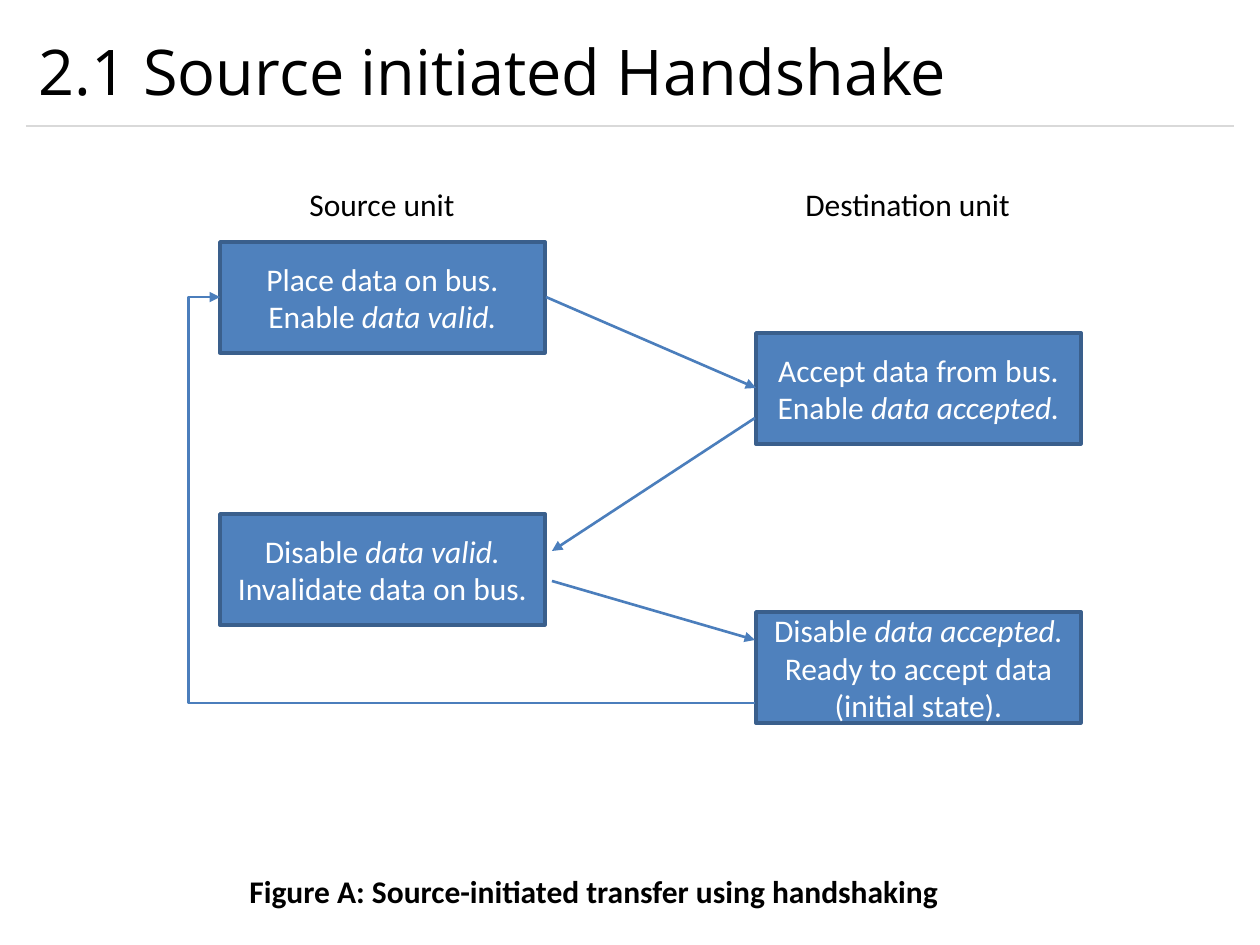
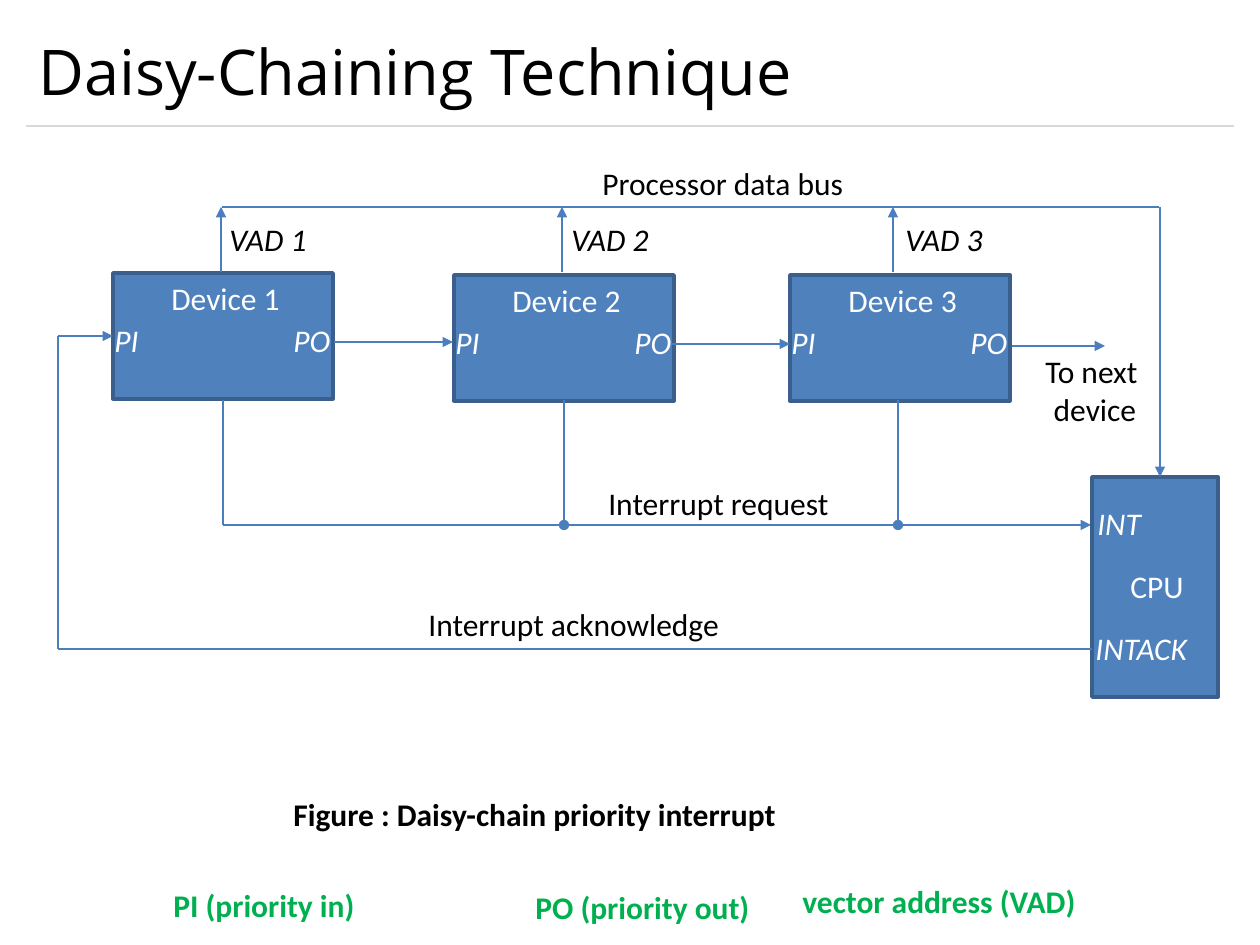
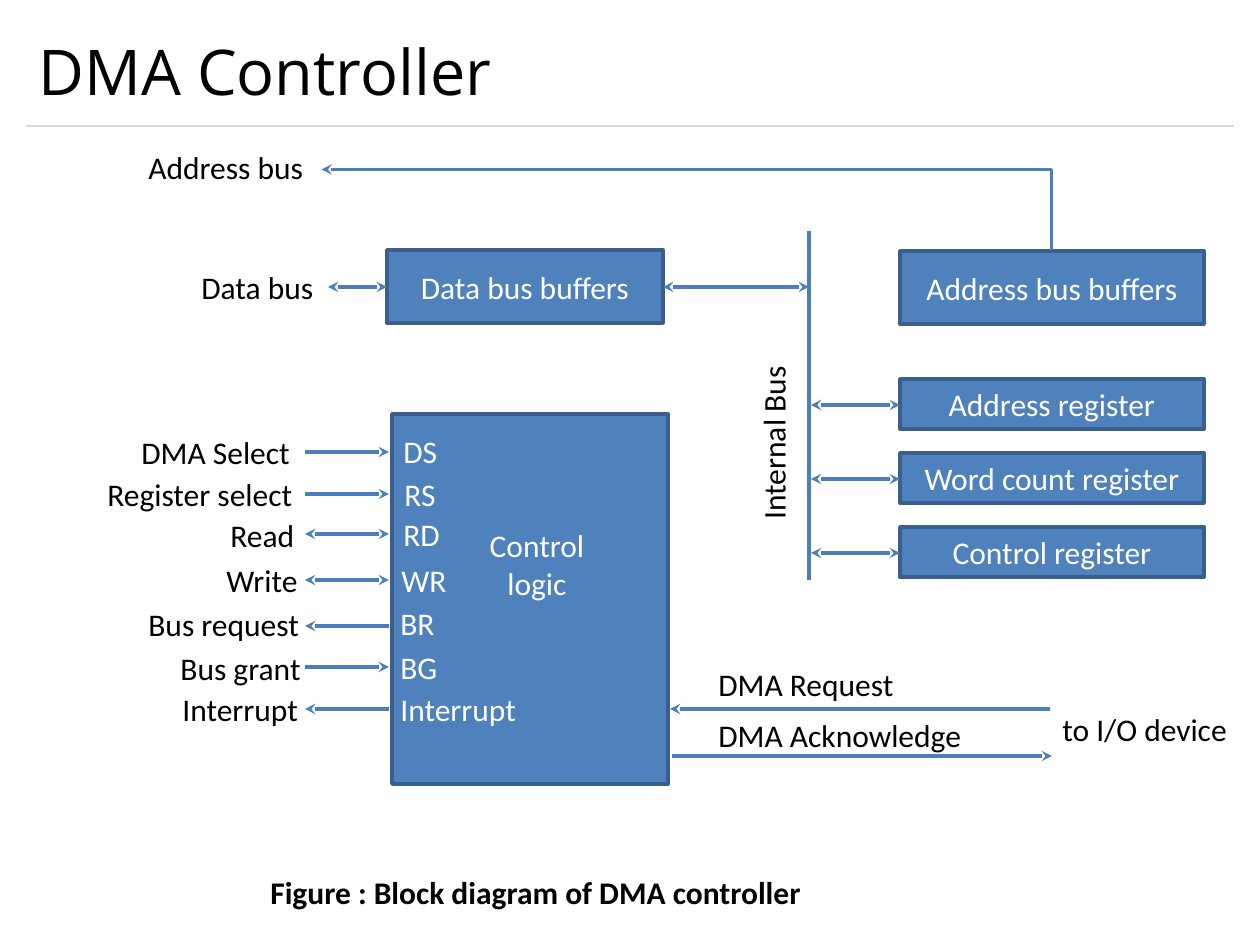
from dataclasses import dataclass
from typing import NamedTuple

from lxml.etree import SubElement
from pptx import Presentation
from pptx.dml.color import RGBColor
from pptx.enum.shapes import MSO_CONNECTOR as Link, MSO_SHAPE as Geo
from pptx.enum.text import MSO_ANCHOR as Anchor, MSO_AUTO_SIZE as Fit, PP_ALIGN as Align
from pptx.oxml.ns import qn
from pptx.util import Emu, Pt

BLACK = RGBColor(0x00, 0x00, 0x00)
WHITE = RGBColor(0xFF, 0xFF, 0xFF)
GREEN = RGBColor(0x00, 0xB0, 0x50)
BOX_FILL = RGBColor(0x4F, 0x81, 0xBD)
BOX_EDGE = RGBColor(0x3A, 0x5F, 0x8C)
ARROW = RGBColor(0x4B, 0x7E, 0xBC)
RULE = RGBColor(0xD9, 0xD9, 0xD9)

BODY_FONT, TITLE_FONT = "Calibri", "Open Sans"
EMU_PER_PX = 914400 / 126
SLIDE_W, SLIDE_H = 1260, 945
LINE_H = 50


class Rect(NamedTuple):
    """A frame in pixels."""
    x: int
    y: int
    w: int
    h: int = LINE_H


@dataclass
class Wire:
    """A straight line with optional arrowheads."""
    x1: int
    y1: int
    x2: int
    y2: int
    head: str = ""
    tail: str = ""


@dataclass
class Elbow:
    """A bent connector: the frame before rotation, and how it turns."""
    frame: Rect
    preset: str
    rotation: int
    tail: str
    flip_v: bool = False
    adjust: int = 0


class Signal(NamedTuple):
    """A control line: outside label, pin name and the arrow between them."""
    label: str
    label_at: Rect
    pin: str
    pin_at: Rect
    arrow_y: int
    head: str
    tail: str


def px(n: float) -> Emu:
    """Turn pixels into EMU."""
    return Emu(round(n * EMU_PER_PX))


def place(r: Rect) -> list[Emu]:
    """Give a frame as four EMU lengths."""
    return [px(n) for n in r]


def write(tf, text: str, *, size=18, font=BODY_FONT, color=BLACK, bold=False,
          italic=False, align=None, anchor=Anchor.TOP, wrap=True) -> None:
    """Fill a text frame; newlines part paragraphs, *stars* mark italics."""
    tf.word_wrap = wrap
    tf.vertical_anchor = anchor
    for i, line in enumerate(text.split("\n")):
        p = tf.add_paragraph() if i else tf.paragraphs[0]
        p.alignment = align
        for j, part in enumerate(line.split("*")):
            if not part:
                continue
            r = p.add_run()
            r.text = part
            r.font.size, r.font.name = Pt(size), font
            r.font.bold, r.font.italic = bold, italic or j % 2 == 1
            r.font.color.rgb = color


def label(shapes, text: str, at: Rect, *, rotation=0, **fmt):
    """Add a text box that grows with its text."""
    sp = shapes.add_textbox(*place(at))
    write(sp.text_frame, text, **fmt)
    sp.text_frame.auto_size = Fit.SHAPE_TO_FIT_TEXT
    sp.rotation = rotation
    return sp


def box(shapes, at: Rect, text: str = "") -> None:
    """Add a blue block with centred white text."""
    sp = shapes.add_shape(Geo.RECTANGLE, *place(at))
    sp.shadow.inherit = False
    sp.fill.solid()
    sp.fill.fore_color.rgb = BOX_FILL
    sp.line.color.rgb = BOX_EDGE
    sp.line.width = Pt(2)
    if text:
        write(sp.text_frame, text, color=WHITE, align=Align.CENTER, anchor=Anchor.MIDDLE)


def style_line(cx, color: RGBColor, width: float, head="", tail="") -> None:
    """Colour a connector, set its arrowheads and take off its shadow."""
    cx.line.color.rgb = color
    cx.line.width = Pt(width)
    ln = cx.line._get_or_add_ln()
    for tag, kind in (("a:headEnd", head), ("a:tailEnd", tail)):
        if kind:
            SubElement(ln, qn(tag), type=kind)
    SubElement(cx._element.spPr, qn("a:effectLst"))


def wire(shapes, w: Wire, *, color=ARROW, width=1.5) -> None:
    """Draw a straight line."""
    cx = shapes.add_connector(Link.STRAIGHT, px(w.x1), px(w.y1), px(w.x2), px(w.y2))
    style_line(cx, color, width, w.head, w.tail)


def elbow(shapes, e: Elbow, *, width=1.5) -> None:
    """Draw a bent connector."""
    x, y, w, h = e.frame
    cx = shapes.add_connector(Link.ELBOW, px(x), px(y), px(x + w), px(y + h))
    style_line(cx, ARROW, width, tail=e.tail)
    xfrm = cx._element.spPr.find(qn("a:xfrm"))
    xfrm.set("rot", str(e.rotation * 60000))
    if e.flip_v:
        xfrm.set("flipV", "1")
    geom = cx._element.spPr.find(qn("a:prstGeom"))
    geom.set("prst", e.preset)
    if e.adjust:
        guides = geom.find(qn("a:avLst"))
        SubElement(guides, qn("a:gd"), name="adj1", fmla=f"val {e.adjust}")


def new_slide(prs, title: str):
    """Add a slide with the shared title and rule; return its shapes."""
    s = prs.slides.add_slide(prs.slide_layouts[6])
    wire(s.shapes, Wire(26, 126, 1234, 126), color=RULE, width=0.75)
    sp = s.shapes.add_textbox(*place(Rect(26, 15, 1207, 111)))
    write(sp.text_frame, title, size=36, font=TITLE_FONT, anchor=Anchor.MIDDLE)
    return s.shapes


def handshake_slide(prs) -> None:
    """Draw the source-initiated handshake."""
    shapes = new_slide(prs, "2.1 Source initiated Handshake")
    source_x, dest_x = 220, 756
    for x, y, text in (
        (source_x, 242, "Place data on bus.\nEnable *data valid.*"),
        (dest_x, 333, "Accept data from bus.\nEnable *data accepted.*"),
        (source_x, 514, "Disable *data valid.*\nInvalidate data on bus."),
        (dest_x, 612, "Disable *data accepted.*\nReady to accept data (initial state)."),
    ):
        box(shapes, Rect(x, y, 325, 111), text)
    label(shapes, "Source unit", Rect(297, 179, 173))
    label(shapes, "Destination unit", Rect(793, 179, 252))
    for ends in ((546, 297, 756, 388), (755, 418, 552, 551), (552, 581, 755, 640)):
        wire(shapes, Wire(*ends, tail="triangle"))
    elbow(shapes, Elbow(Rect(220, 297, 535, 406), "bentConnector3", 180, "triangle",
                        adjust=105900))
    label(shapes, "Figure A: Source-initiated transfer using handshaking",
          Rect(237, 866, 908), bold=True)


def device(shapes, name: str, x: int, y: int) -> None:
    """Draw one device of the chain as a group."""
    grp = shapes.add_group_shape().shapes
    box(grp, Rect(x, y, 220, 126))
    label(grp, name, Rect(x + 46, y, 144), color=WHITE)
    label(grp, "PI", Rect(x - 11, y + 42, 51), color=WHITE, italic=True)
    label(grp, "PO", Rect(x + 168, y + 42, 67), color=WHITE, italic=True)


def daisy_chain_slide(prs) -> None:
    """Draw the daisy-chain priority interrupt."""
    shapes = new_slide(prs, "Daisy-Chaining Technique")
    bus_y, request_y, ack_y, ack_x = 207, 525, 649, 58
    for i, (x, y) in enumerate(((113, 273), (454, 275), (790, 275)), 1):
        device(shapes, f"Device {i}", x, y)

    for x, end in ((223, ""), (564, "oval"), (898, "oval")):
        wire(shapes, Wire(x, 400, x, request_y, tail=end))
    wire(shapes, Wire(223, request_y, 1091, request_y, tail="triangle"))
    wire(shapes, Wire(ack_x, 336, 113, 336, tail="triangle"))
    wire(shapes, Wire(ack_x, 336, ack_x, ack_y))

    cpu = shapes.add_group_shape().shapes
    box(cpu, Rect(1092, 477, 126, 220))
    label(cpu, "CPU", Rect(1118, 561, 81), color=WHITE)
    label(cpu, "INT", Rect(1085, 498, 73), color=WHITE, italic=True)
    label(cpu, "INTACK", Rect(1083, 623, 119), color=WHITE, italic=True)
    wire(shapes, Wire(1092, ack_y, ack_x, ack_y))

    for i, (x, text_x) in enumerate(((221, 217), (562, 559), (893, 893)), 1):
        wire(shapes, Wire(x, 272, x, bus_y, tail="triangle"))
        label(shapes, f"VAD {i}", Rect(text_x, 214, 107), italic=True)
    wire(shapes, Wire(1159, bus_y, 222, bus_y))
    wire(shapes, Wire(1160, bus_y, 1160, 477, tail="triangle"))
    for x1, x2, y in ((334, 453, 342), (672, 790, 344), (1012, 1105, 346)):
        wire(shapes, Wire(x1, y, x2, y, tail="triangle"))

    label(shapes, "Processor data bus", Rect(590, 158, 276))
    label(shapes, "Interrupt request", Rect(596, 478, 251))
    label(shapes, "Interrupt acknowledge", Rect(416, 599, 334))
    label(shapes, "To next \ndevice", Rect(1031, 346, 128, 89), align=Align.CENTER)
    label(shapes, "Figure : Daisy-chain priority interrupt", Rect(281, 789, 630), bold=True)
    for text, at in (
        ("vector address (VAD)", Rect(790, 876, 350)),
        ("PO (priority out)", Rect(523, 882, 284)),
        ("PI (priority in)", Rect(161, 880, 320)),
    ):
        label(shapes, text, at, color=GREEN, bold=True)


SIGNALS = [
    Signal("DMA Select", Rect(129, 427, 175), "DS", Rect(391, 426, 59), 452, "", "stealth"),
    Signal("Register select", Rect(95, 469, 213), "RS", Rect(392, 469, 57), 494, "", "stealth"),
    Signal("Read", Rect(218, 510, 89), "RD", Rect(391, 509, 62), 534, "stealth", "stealth"),
    Signal("Write", Rect(214, 555, 97), "WR", Rect(389, 555, 71), 580, "stealth", "stealth"),
    Signal("Bus request", Rect(136, 599, 178), "BR", Rect(388, 598, 60), 626, "stealth", ""),
    Signal("Bus grant", Rect(168, 643, 147), "BG", Rect(388, 642, 63), 667, "", "stealth"),
    Signal("Interrupt", Rect(170, 684, 145), "Interrupt", Rect(388, 684, 142), 709,
           "stealth", ""),
]


def dma_slide(prs) -> None:
    """Draw the block diagram of the DMA controller."""
    shapes = new_slide(prs, "DMA Controller")
    box(shapes, Rect(392, 414, 276, 370))
    label(shapes, "Control logic", Rect(473, 520, 128, 89), color=WHITE, align=Align.CENTER)
    for sig in SIGNALS:
        label(shapes, sig.label, sig.label_at, wrap=False)
        label(shapes, sig.pin, sig.pin_at, color=WHITE, wrap=False)
        wire(shapes, Wire(305, sig.arrow_y, 389, sig.arrow_y, sig.head, sig.tail), width=2)

    box(shapes, Rect(387, 250, 276, 73), "Data bus buffers")
    right_x, right_w = 900, 304
    box(shapes, Rect(right_x, 251, right_w, 73), "Address bus buffers")
    for i, name in enumerate(("Address register", "Word count register", "Control register")):
        box(shapes, Rect(right_x, 379 + 74 * i, right_w, 50), name)
        y = 405 + 74 * i
        wire(shapes, Wire(811, y, right_x, y, "stealth", "stealth"), width=2)

    for w in (
        Wire(328, 287, 387, 287, "stealth", "stealth"),
        Wire(663, 287, 809, 287, "stealth", "stealth"),
        Wire(809, 231, 809, 580),
        Wire(670, 709, 1050, 709, head="stealth"),
        Wire(672, 756, 1052, 756, tail="stealth"),
    ):
        wire(shapes, w, width=2)
    elbow(shapes, Elbow(Rect(646, -155, 81, 730), "bentConnector2", 270, "stealth",
                        flip_v=True), width=2)

    for text, at in (
        ("Address bus", Rect(136, 142, 181)),
        ("Data bus", Rect(189, 262, 139)),
        ("DMA Request", Rect(706, 659, 203)),
        ("DMA Acknowledge", Rect(706, 710, 271)),
        ("to I/O device", Rect(1050, 704, 192)),
    ):
        label(shapes, text, at, wrap=False)
    label(shapes, "Internal Bus", Rect(683, 417, 180), rotation=270, wrap=False)
    label(shapes, "Figure : Block diagram of DMA controller", Rect(258, 867, 630), bold=True)


def main() -> None:
    """Build the deck."""
    prs = Presentation()
    prs.slide_width, prs.slide_height = px(SLIDE_W), px(SLIDE_H)
    handshake_slide(prs)
    daisy_chain_slide(prs)
    dma_slide(prs)
    prs.save("out.pptx")


main()
